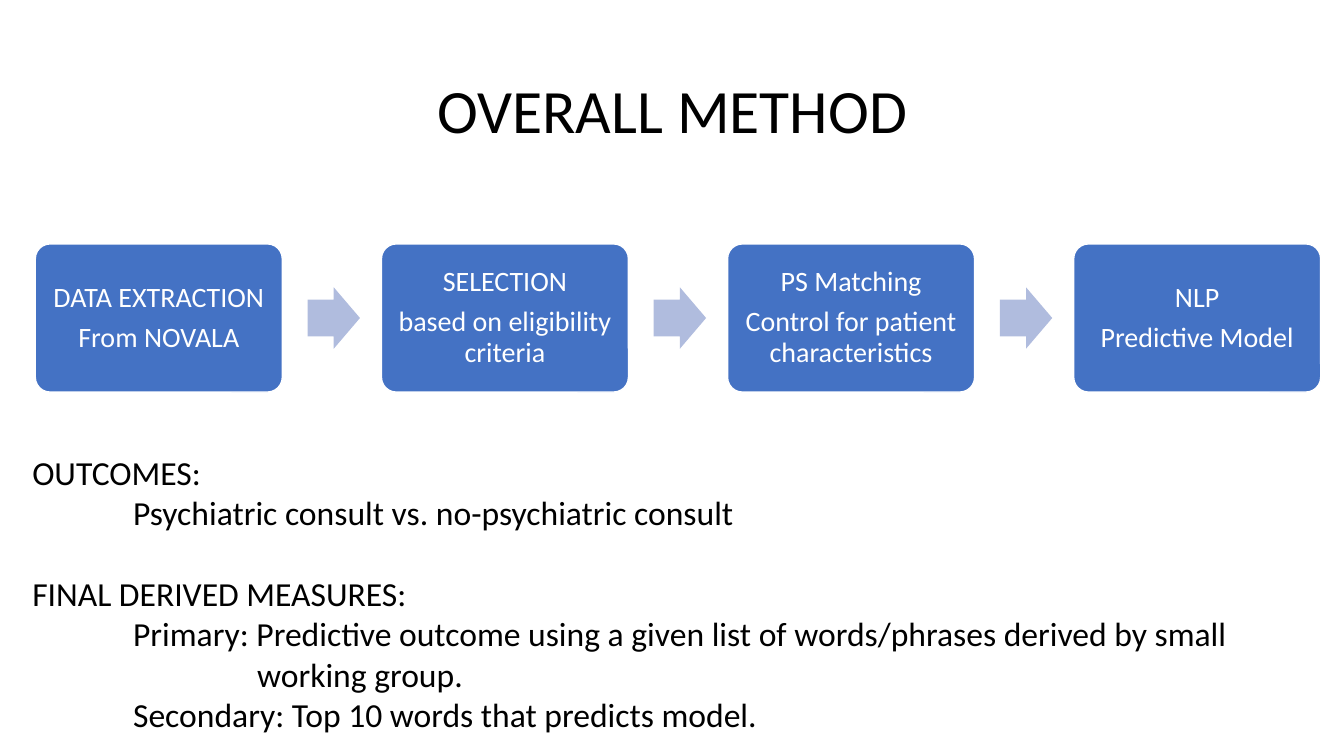
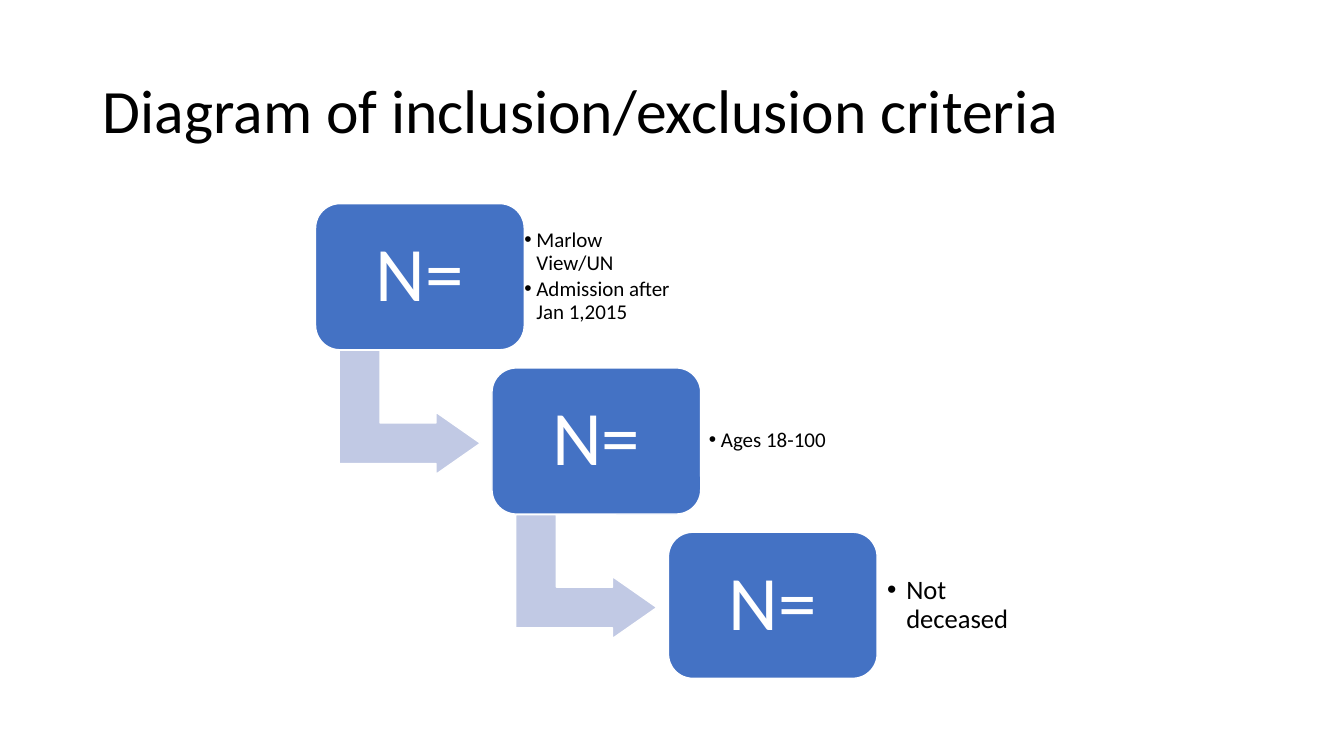
"""Two study-method slides: a process flow and a stepped criteria diagram."""
from lxml.etree import SubElement
from pptx import Presentation
from pptx.dml.color import RGBColor
from pptx.enum.shapes import MSO_SHAPE
from pptx.enum.text import MSO_ANCHOR, MSO_AUTO_SIZE, PP_ALIGN
from pptx.oxml.ns import qn
from pptx.util import Inches, Pt

HUES = {"box": "4472C4", "flow": "B0BCDE", "bend": "C1C9E4",
        "ink": "000000", "white": "FFFFFF"}
FONT = "Calibri"

deck = Presentation()
deck.slide_width, deck.slide_height = Inches(13.33), Inches(7.5)


def write(frame, lines, size, hue="ink", align=PP_ALIGN.LEFT, pad=None,
          space=0.9, after=0, anchor=MSO_ANCHOR.MIDDLE):
    frame.text = "\n".join(lines)
    frame.word_wrap = True
    frame.auto_size = MSO_AUTO_SIZE.NONE
    frame.vertical_anchor = anchor
    if pad is not None:
        frame.margin_left = frame.margin_right = Inches(pad)
        frame.margin_top = frame.margin_bottom = Inches(pad)
    for para in frame.paragraphs:
        para.alignment = align
        para.line_spacing = space
        para.space_before, para.space_after = Pt(0), Pt(after)
        for run in para.runs:
            run.font.size, run.font.name = Pt(size), FONT
            run.font.color.rgb = RGBColor.from_string(HUES[hue])


def draw(slide, kind, place, hue, adjust, edge=True):
    shape = slide.shapes.add_shape(kind, *map(Inches, place))
    shape.shadow.inherit = False
    shape.fill.solid()
    shape.fill.fore_color.rgb = RGBColor.from_string(HUES[hue])
    if edge:
        shape.line.color.rgb = RGBColor.from_string(HUES["white"])
        shape.line.width = Pt(1)
    else:
        shape.line.fill.background()
    for spot, value in enumerate(adjust):
        shape.adjustments[spot] = value
    return shape


slides = []
for layout, title, align in [
        (1, "OVERALL METHOD", PP_ALIGN.CENTER),
        (5, "Diagram of inclusion/exclusion criteria", PP_ALIGN.LEFT)]:
    slide = deck.slides.add_slide(deck.slide_layouts[layout])
    head = slide.shapes.title
    head.left, head.top = Inches(0.92), Inches(0.4)
    head.width, head.height = Inches(11.5), Inches(1.45)
    write(head.text_frame, [title], 44, align=align)
    slides.append(slide)
method, criteria = slides

STAGES = [
    ["DATA EXTRACTION", "From NOVALA"],
    ["SELECTION", "based on eligibility criteria"],
    ["PS Matching", "Control for patient characteristics"],
    ["NLP", "Predictive Model"],
]
for col, lines in enumerate(STAGES):
    left = 0.35 + 3.433 * col
    box = draw(method, MSO_SHAPE.ROUNDED_RECTANGLE,
               (left, 2.42, 2.45, 1.47), "box", [0.1])
    write(box.text_frame, lines, 20, "white", PP_ALIGN.CENTER, 0.08, after=7)
    if col < len(STAGES) - 1:
        draw(method, MSO_SHAPE.RIGHT_ARROW,
             (left + 2.7, 2.85, 0.52, 0.61), "flow", [0.6, 0.5], edge=False)

NOTES = [
    ("OUTCOMES:", 0, 0),
    ("Psychiatric consult vs. no-psychiatric consult", 1, 0),
    ("FINAL DERIVED MEASURES:", 0, 0),
    ("Primary: Predictive outcome using a given list of words/phrases "
     "derived by small working group.", 2.23, -1.23),
    ("Secondary: Top 10 words that predicts model.", 1, 0),
]
body = method.placeholders[1]
body.left, body.top = Inches(0.22), Inches(4.43)
body.width, body.height = Inches(12.54), Inches(2.93)
write(body.text_frame, [note[0] for note in NOTES], 24, space=1.0,
      anchor=MSO_ANCHOR.TOP)
body.text_frame.paragraphs[2].space_before = Pt(29)
for para, (_, left, hang) in zip(body.text_frame.paragraphs, NOTES):
    props = para._p.get_or_add_pPr()
    props.set("marL", str(Inches(left)))
    props.set("indent", str(Inches(hang)))
    SubElement(props, qn("a:buNone"))

STEPS = [
    (["Marlow View/UN", "Admission after Jan 1,2015"], 1.99, 1.66, 15, 0.12, 0.08),
    (["Ages 18-100"], 2.07, 1.51, 15, 0.12, 0.08),
    (["Not deceased"], 2.07, 1.51, 19, 0.19, 0.1),
]
for row, (lines, shift, width, size, hang, pad) in enumerate(STEPS):
    left, top = 3.13 + 1.75 * row, 2.02 + 1.63 * row
    if row < len(STEPS) - 1:
        bend = draw(criteria, MSO_SHAPE.BENT_UP_ARROW,
                    (left + 0.32, top + 1.37, 1.23, 1.4), "bend",
                    [0.328, 0.25, 0.358])
        bend.rotation = 90
    box = draw(criteria, MSO_SHAPE.ROUNDED_RECTANGLE,
               (left, top, 2.07, 1.45), "box", [0.167])
    write(box.text_frame, ["N="], 55, "white", PP_ALIGN.CENTER, 0.23, after=19)
    place = (left + shift, top + 0.14, width, 1.17)
    label = criteria.shapes.add_textbox(*map(Inches, place))
    write(label.text_frame, lines, size, pad=pad, after=0.15 * size)
    for para in label.text_frame.paragraphs:
        props = para._p.get_or_add_pPr()
        props.set("marL", str(Inches(hang)))
        props.set("indent", str(Inches(-hang)))
        SubElement(props, qn("a:buFont")).set("typeface", "Arial")
        SubElement(props, qn("a:buChar")).set("char", "•")

deck.save("out.pptx")
